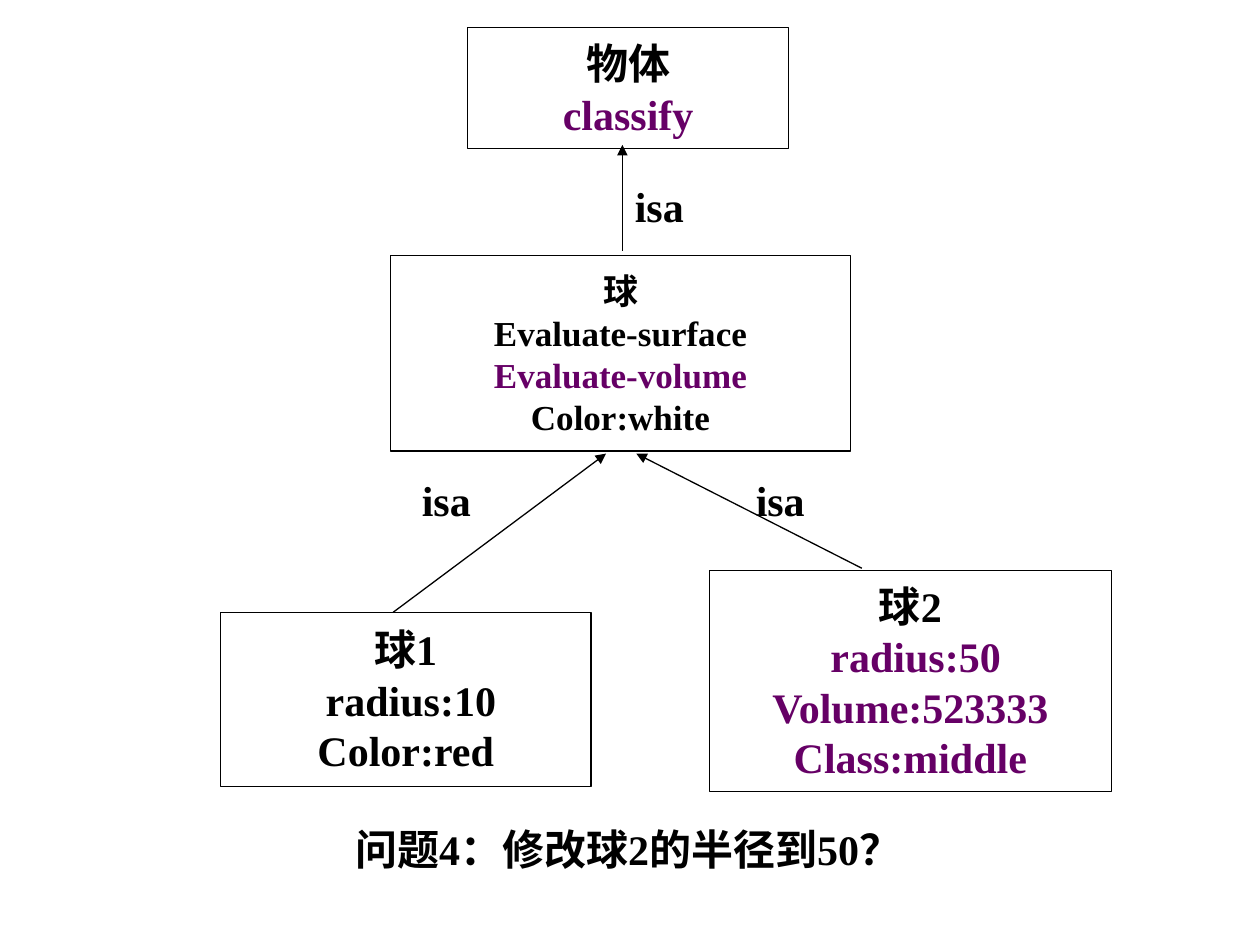
from lxml import etree
from pptx import Presentation
from pptx.dml.color import RGBColor
from pptx.enum.shapes import MSO_CONNECTOR, MSO_SHAPE
from pptx.enum.text import MSO_ANCHOR, MSO_AUTO_SIZE, PP_ALIGN
from pptx.oxml.ns import qn
from pptx.util import Inches, Pt

BLACK = RGBColor(0x00, 0x00, 0x00)
PURPLE = RGBColor(0x66, 0x00, 0x66)
RECTANGLE = MSO_SHAPE.RECTANGLE
STRAIGHT = MSO_CONNECTOR.STRAIGHT
MIDDLE = MSO_ANCHOR.MIDDLE
FIT_SHAPE = MSO_AUTO_SIZE.SHAPE_TO_FIT_TEXT
CENTER, LEFT = PP_ALIGN.CENTER, PP_ALIGN.LEFT


class ClassDiagram:
    """Draws class boxes, inheritance arrows and labels on one page."""

    font_name = "Times New Roman"
    line_width = Pt(0.75)

    def __init__(self, page):
        self.page = page

    def add_lines(self, frame, lines, size, align):
        for index, spans in enumerate(lines):
            para = frame.paragraphs[0] if index == 0 else frame.add_paragraph()
            para.alignment = align
            for text, color in spans:
                span = para.add_run()
                span.text = text
                span.font.name = self.font_name
                span.font.size = Pt(size)
                span.font.bold = True
                span.font.color.rgb = color

    def class_box(self, left, top, width, height, lines, size=24):
        box = self.page.shapes.add_shape(
            RECTANGLE, Inches(left), Inches(top), Inches(width), Inches(height))
        box.shadow.inherit = False
        box.fill.background()
        box.line.color.rgb = BLACK
        box.line.width = self.line_width
        box.text_frame.word_wrap = False
        box.text_frame.vertical_anchor = MIDDLE
        self.add_lines(box.text_frame, lines, size, CENTER)

    def arrow(self, start, end):
        connector = self.page.shapes.add_connector(
            STRAIGHT, *(Inches(value) for value in start + end))
        connector.line.color.rgb = BLACK
        connector.line.width = self.line_width
        properties = connector._element.spPr
        etree.SubElement(properties.find(qn("a:ln")), qn("a:tailEnd"), type="triangle")
        etree.SubElement(properties, qn("a:effectLst"))

    def label(self, left, top, width, text, wrap=True):
        box = self.page.shapes.add_textbox(
            Inches(left), Inches(top), Inches(width), Inches(0.5))
        box.text_frame.word_wrap = wrap
        box.text_frame.auto_size = FIT_SHAPE
        self.add_lines(box.text_frame, [[(text, BLACK)]], 24, LEFT)


def main():
    deck = Presentation()
    deck.slide_width, deck.slide_height = Inches(10), Inches(7.5)
    diagram = ClassDiagram(deck.slides.add_slide(deck.slide_layouts[6]))

    diagram.class_box(3.71, 0.22, 2.55, 0.96, [
        [("物体", BLACK)],
        [("classify", PURPLE)],
    ])
    diagram.class_box(3.1, 2.03, 3.65, 1.55, [
        [("球", BLACK)],
        [("Evaluate-surface", BLACK)],
        [("Evaluate-volume", PURPLE)],
        [("Color:white", BLACK)],
    ], size=20)
    diagram.class_box(1.75, 4.86, 2.94, 1.38, [
        [("球1", BLACK)],
        [(" radius:10", BLACK)],
        [("Color:red", BLACK)],
    ])
    diagram.class_box(5.63, 4.53, 3.19, 1.75, [
        [("球2", BLACK)],
        [(" ", BLACK), ("radius:50", PURPLE)],
        [("Volume:523333", PURPLE)],
        [("Class:middle", PURPLE)],
    ])

    for start, end in [
        ((4.94, 1.99), (4.94, 1.15)),
        ((3.12, 4.86), (4.81, 3.6)),
        ((6.84, 4.51), (5.05, 3.6)),
    ]:
        diagram.arrow(start, end)

    for left, top in [(4.94, 1.38), (3.25, 3.72), (5.9, 3.72)]:
        diagram.label(left, top, 1.3, "isa")
    diagram.label(2.72, 6.49, 5.01, "问题4：修改球2的半径到50？", wrap=False)

    deck.save("out.pptx")


if __name__ == "__main__":
    main()
